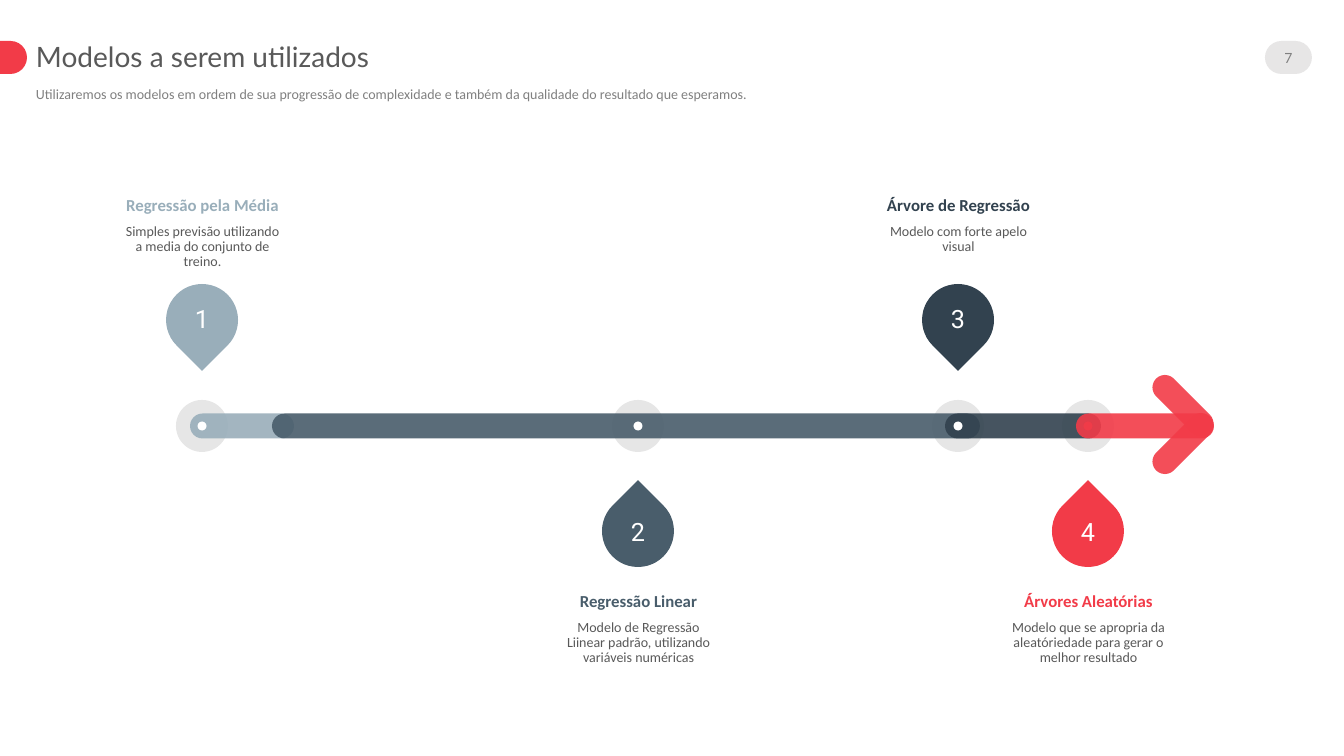
from dataclasses import dataclass
from typing import Any
from lxml import etree
from pptx import Presentation
from pptx import util as u
from pptx.dml.color import RGBColor
from pptx.enum import shapes, text
from pptx.oxml.ns import qn

SCALE = 914400 / 100.8  # EMU per pixel
KIND = shapes.MSO_SHAPE
ALIGN = text.PP_ALIGN
HUES = {
    "mist": "99AEBA", "slate": "495D6B", "navy": "32424F", "red": "F23B48",
    "pale": "E7E6E6", "ink": "0D0D0D", "white": "FFFFFF",
    "dark": "595959", "gray": "808080",
}
MID = 426  # centre line of the track
BAR = 25   # thickness of the track
HALO, DOT, DROP = 52, 9, 72


@dataclass
class Step:
    name: str
    note: str
    hue: str
    mid: int    # centre of the marker
    left: int   # start of the track segment
    wide: int   # length of the track segment
    above: bool
    dot: str = "white"
    clear: int = 100  # opacity of the dot


STEPS = [
    Step("Regressão pela Média",
         "Simples previsão utilizando a media do conjunto de treino.",
         "mist", 202, 190, 104, True),
    Step("Regressão Linear",
         "Modelo de Regressão Liinear padrão, utilizando variáveis numéricas",
         "slate", 638, 272, 708, False),
    Step("Árvore de Regressão", "Modelo com forte apelo visual",
         "navy", 958, 945, 156, True),
    Step("Árvores Aleatórias",
         "Modelo que se apropria da aleatóriedade para gerar o melhor resultado",
         "red", 1088, 1076, 138, False, "red", 90),
]


def px(n: float) -> u.Emu:
    return u.Emu(round(n * SCALE))


def tint(hue: str) -> RGBColor:
    return RGBColor.from_string(HUES[hue])


def draw(kind: Any, x: float, y: float, w: float, h: float, hue: str,
         alpha: int = 100, turn: int = 0) -> Any:
    """Add a filled shape without line or shadow."""
    item = slide.shapes.add_shape(kind, px(x), px(y), px(w), px(h))
    item.shadow.inherit = False
    item.fill.solid()
    item.fill.fore_color.rgb = tint(hue)
    item.line.fill.background()
    item.rotation = turn
    if kind == KIND.ROUNDED_RECTANGLE:
        item.adjustments[0] = 0.5
    if alpha < 100:
        paint = item.fill._xPr.find(qn("a:solidFill"))[0]
        etree.SubElement(paint, qn("a:alpha"), val=str(alpha * 1000))
    return item


def disc(mid: int, size: int, hue: str, alpha: int = 100) -> None:
    draw(KIND.OVAL, mid - size / 2, MID - size / 2, size, size, hue, alpha)


def write(item: Any, words: str, size: int, font: str, hue: str,
          align: Any = ALIGN.CENTER, gap: float = 0, line: float = 1,
          bold: bool = False, anchor: Any = text.MSO_ANCHOR.TOP) -> Any:
    """Set one paragraph of formatted text in a frame without margins."""
    frame = item.text_frame
    frame.margin_left = frame.margin_right = 0
    frame.margin_top = frame.margin_bottom = 0
    frame.word_wrap = True
    frame.auto_size = text.MSO_AUTO_SIZE.NONE
    frame.vertical_anchor = anchor
    para = frame.paragraphs[0]
    para.alignment, para.line_spacing = align, line
    para.space_before = u.Pt(gap)
    run = para.add_run()
    run.text = words
    run.font.size, run.font.name, run.font.bold = u.Pt(size), font, bold
    run.font.color.rgb = tint(hue)
    return para


def label(x: float, y: float, w: float, h: float, words: str,
          *style: Any, **more: Any) -> None:
    box = slide.shapes.add_textbox(px(x), px(y), px(w), px(h))
    write(box, words, *style, **more)


def place(item: Any, x: int, y: int, w: int, h: int) -> None:
    item.left, item.top, item.width, item.height = px(x), px(y), px(w), px(h)


deck = Presentation()
deck.slide_width, deck.slide_height = px(1344), px(756)
slide = deck.slides.add_slide(deck.slide_layouts[1])

# Title and subtitle
title, body = slide.placeholders
place(title, 36, 43, 1203, 49)
write(title, "Modelos a serem utilizados", 20, "Lato", "dark",
      ALIGN.LEFT, 10, 0.9)
place(body, 36, 87, 1203, 31)
lead = write(body, "Utilizaremos os modelos em ordem de sua progressão de "
             "complexidade e também da qualidade do resultado que esperamos.",
             10, "Calibri", "gray", ALIGN.LEFT, 10, 0.9)
props = lead._p.get_or_add_pPr()
props.set("marL", "0")
props.set("indent", "0")
etree.SubElement(props, qn("a:buNone"))

# Header tab and page number
draw(KIND.ROUNDED_RECTANGLE, -45, 41, 72, 33, "red")
page = draw(KIND.ROUNDED_RECTANGLE, 1265, 41, 47, 33, "pale")
write(page, "7", 10, "Lato", "gray", anchor=text.MSO_ANCHOR.MIDDLE)

# Halos behind the track
for step in STEPS:
    disc(step.mid, HALO, "ink", 10)

# Track segments, arrow head and dots
for step in STEPS:
    draw(KIND.ROUNDED_RECTANGLE, step.left, MID - BAR / 2, step.wide, BAR,
         step.hue, 90)
    if step is STEPS[-1]:
        for top, turn in ((431, 315), (393, 45)):
            draw(KIND.ROUNDED_RECTANGLE, 1145, top, 76, BAR, step.hue, 90, turn)
    disc(step.mid, DOT, step.dot, step.clear)

# Numbered drops with name and note
for num, step in enumerate(STEPS, 1):
    drop, digit, head = (284, 298, 197) if step.above else (495, 511, 593)
    draw(KIND.TEAR, step.mid - DROP / 2, drop, DROP, DROP, step.hue,
         turn=135 if step.above else 315)
    label(step.mid - 17, digit, 34, 40, str(num), 18, "Roboto", "white",
          anchor=text.MSO_ANCHOR.MIDDLE)
    label(step.mid - 80, head, 161, 35, step.name, 12, "Calibri", step.hue,
          gap=7.5, line=0.9, bold=True)
    label(step.mid - 80, head + 27, 161, 42, step.note, 10, "Calibri", "dark",
          gap=7.5, line=0.9)

deck.save("out.pptx")
